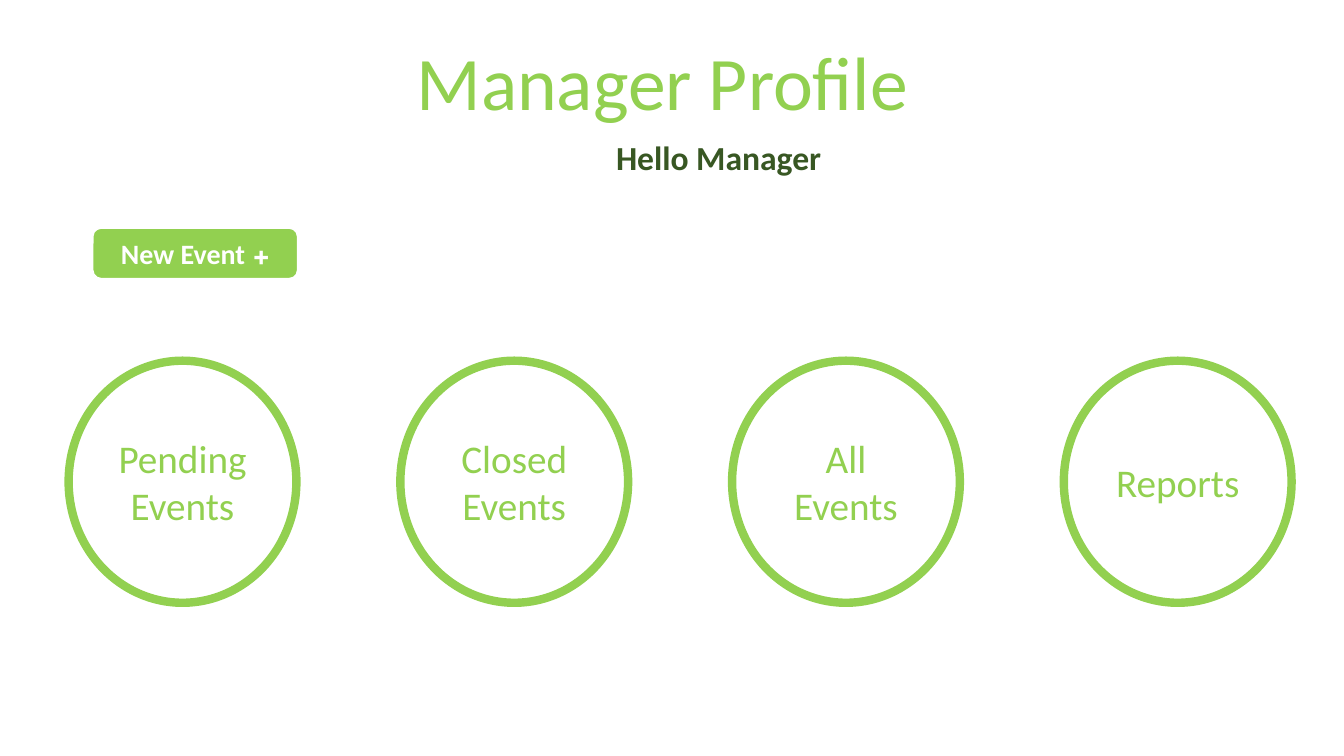
from pptx import Presentation
from pptx.dml.color import RGBColor
from pptx.enum.shapes import MSO_SHAPE
from pptx.enum.text import MSO_ANCHOR, PP_ALIGN
from pptx.util import Cm, Pt

TITLE = " Manager Profile"
GREETING = "Hello Manager "
BUTTON = "+ New Event"
MENU = [["Pending Events"], ["Closed", "Events"], ["All Events"], ["Reports"]]

GREEN = RGBColor(0x92, 0xD0, 0x50)
DARK_GREEN = RGBColor(0x38, 0x57, 0x23)
WHITE = RGBColor(0xFF, 0xFF, 0xFF)
CENTER, LEFT = PP_ALIGN.CENTER, PP_ALIGN.LEFT
TOP, MIDDLE, BOTTOM = MSO_ANCHOR.TOP, MSO_ANCHOR.MIDDLE, MSO_ANCHOR.BOTTOM
OVAL, ROUNDED = MSO_SHAPE.OVAL, MSO_SHAPE.ROUNDED_RECTANGLE

TITLE_FONT = {"name": "Calibri", "size": Pt(54), "bold": False}
GREETING_FONT = {"name": "Calibri", "size": Pt(24), "bold": True}
BUTTON_FONT = {"name": "Calibri", "size": Pt(20), "bold": True}
MENU_FONT = {"name": "Calibri", "size": Pt(28), "bold": False}

MENU_LEFT, MENU_TOP, MENU_STEP = 1.73, 9.09, 8.36
MENU_W, MENU_H = 5.74, 6.1


def box(left, top, width, height):
    return Cm(left), Cm(top), Cm(width), Cm(height)


def write(sp, lines, font, color, align=CENTER, anchor=MIDDLE):
    tf = sp.text_frame
    tf.word_wrap = True
    tf.vertical_anchor = anchor
    for i, line in enumerate(lines):
        p = tf.paragraphs[0] if i == 0 else tf.add_paragraph()
        p.alignment = align
        p._p.get_or_add_pPr().set("rtl", "1")
        r = p.add_run()
        r.text = line
        for name, value in font.items():
            setattr(r.font, name, value)
        r.font.color.rgb = color


def add_outlined(slide, kind, place, line_color, line_width):
    sp = slide.shapes.add_shape(kind, *place)
    sp.shadow.inherit = False
    sp.fill.background()
    sp.line.color.rgb = line_color
    sp.line.width = Pt(line_width)
    return sp


def main():
    prs = Presentation()
    prs.slide_width, prs.slide_height = Cm(33.87), Cm(19.05)
    slide = prs.slides.add_slide(prs.slide_layouts[5])

    title = slide.shapes.title
    title.left, title.top, title.width, title.height = box(3.91, 0.79, 26.04, 2.54)
    write(title, [TITLE], TITLE_FONT, GREEN, anchor=BOTTOM)
    title.text_frame.paragraphs[0].line_spacing = 0.9

    greeting = slide.shapes.add_textbox(*box(15.04, 3.33, 6.4, 1.28))
    write(greeting, [GREETING], GREETING_FONT, DARK_GREEN, LEFT, TOP)

    button = add_outlined(slide, ROUNDED, box(2.34, 5.75, 5.16, 1.27), WHITE, 1)
    button.fill.solid()
    button.fill.fore_color.rgb = GREEN
    write(button, [BUTTON], BUTTON_FONT, WHITE)

    for i, lines in enumerate(MENU):
        place = box(MENU_LEFT + i * MENU_STEP, MENU_TOP, MENU_W, MENU_H)
        circle = add_outlined(slide, OVAL, place, GREEN, 6)
        write(circle, lines, MENU_FONT, GREEN)

    prs.save("out.pptx")


if __name__ == "__main__":
    main()
